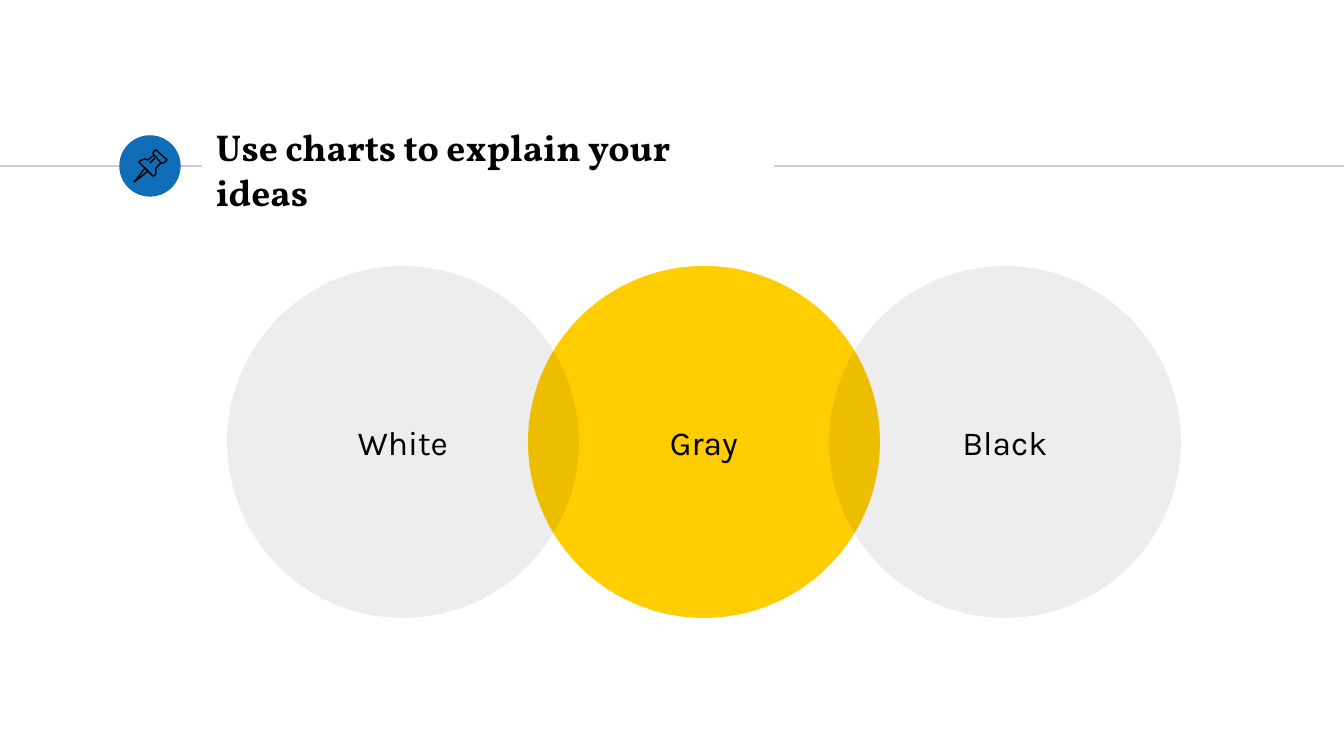
from lxml.etree import SubElement
from pptx import Presentation
from pptx.dml.color import RGBColor
from pptx.enum.shapes import MSO_CONNECTOR, MSO_SHAPE
from pptx.enum.text import MSO_ANCHOR as ANCHOR, PP_ALIGN as ALIGN
from pptx.oxml.ns import qn
from pptx.util import Pt

SCALE = 914400 / 134.4
WHITE = RGBColor(0xFF, 0xFF, 0xFF)
BLACK = RGBColor(0x00, 0x00, 0x00)
RULE = RGBColor(0xCC, 0xCC, 0xCC)
BLUE = RGBColor(0x0F, 0x6C, 0xB6)
YELLOW = RGBColor(0xFF, 0xCD, 0x00)

DIAMETER, STEP, VENN_LEFT, VENN_TOP = 352, 301, 227, 266
RULE_Y = 166

PIN_NEEDLE = [(145, 168), (136, 180), (134, 182), (137, 180), (148, 171)]
PIN_HEAD = [(154, 155), (161, 163), (163, 163), (165, 162), (167, 160),
            (166, 159), (157, 151), (156, 150), (154, 151), (153, 153)]
PIN_BODY = [(154, 155), (148, 160), (145, 159), (142, 160), (140, 161),
            (139, 162), (140, 163), (153, 176), (154, 176), (155, 175),
            (156, 173), (156, 168), (161, 163)]


def px(n):
    return round(n * SCALE)


class Deck:
    heading_font = "Vollkorn"
    body_font = "Karla"
    line_width = Pt(0.75)

    def __init__(self, width, height):
        self.prs = Presentation()
        self.prs.slide_width, self.prs.slide_height = px(width), px(height)
        self.s = self.prs.slides.add_slide(self.prs.slide_layouts[6])
        fill = self.s.background.fill
        fill.solid()
        fill.fore_color.rgb = WHITE

    def line(self, x1, y1, x2, y2, color):
        sp = self.s.shapes.add_connector(
            MSO_CONNECTOR.STRAIGHT, px(x1), px(y1), px(x2), px(y2))
        self.stroke(sp, color)
        SubElement(sp._element.spPr, qn("a:effectLst"))

    def stroke(self, sp, color):
        sp.line.color.rgb = color
        sp.line.width = self.line_width

    def circle(self, x, y, size, color, opacity=100, outline=None):
        sp = self.s.shapes.add_shape(
            MSO_SHAPE.OVAL, px(x), px(y), px(size), px(size))
        sp.shadow.inherit = False
        sp.fill.solid()
        sp.fill.fore_color.rgb = color
        if opacity < 100:
            clr = sp._element.spPr.find(".//" + qn("a:srgbClr"))
            SubElement(clr, qn("a:alpha"), val=str(opacity * 1000))
        if outline is None:
            sp.line.fill.background()
        else:
            self.stroke(sp, outline)
        return sp

    def outline(self, points, close):
        fb = self.s.shapes.build_freeform(*points[0], scale=SCALE)
        fb.add_line_segments(points[1:], close=close)
        sp = fb.convert_to_shape()
        sp.shadow.inherit = False
        sp.fill.background()
        self.stroke(sp, BLACK)

    def label(self, sp, text, font, size, align, bold=False):
        tf = sp.text_frame
        tf.text = text
        tf.word_wrap = True
        tf.vertical_anchor = ANCHOR.MIDDLE
        tf.margin_left = tf.margin_right = px(13)
        tf.margin_top = tf.margin_bottom = px(13)
        p = tf.paragraphs[0]
        p.alignment = align
        r = p.runs[0]
        r.font.name, r.font.size, r.font.bold = font, Pt(size), bold
        r.font.color.rgb = BLACK

    def title(self, x, y, w, h, text):
        sp = self.s.shapes.add_textbox(px(x), px(y), px(w), px(h))
        self.label(sp, text, self.heading_font, 20, ALIGN.LEFT, bold=True)

    def venn_circle(self, index, text, color, opacity=100):
        sp = self.circle(VENN_LEFT + index * STEP, VENN_TOP, DIAMETER, color, opacity)
        self.label(sp, text, self.body_font, 18, ALIGN.CENTER)

    def pin(self):
        self.outline(PIN_NEEDLE, close=True)
        self.outline(PIN_HEAD, close=True)
        self.outline(PIN_BODY, close=False)
        self.line(150, 163, 155, 158, BLACK)


def main():
    deck = Deck(1344, 756)
    deck.line(0, RULE_Y, 202, RULE_Y, RULE)
    deck.circle(120, 136, 60, BLUE, outline=BLUE)
    deck.line(774, RULE_Y, 1344, RULE_Y, RULE)
    deck.title(203, 137, 570, 65, "Use charts to explain your ideas")
    deck.venn_circle(1, "Gray", YELLOW)
    deck.venn_circle(0, "White", BLACK, opacity=7)
    deck.venn_circle(2, "Black", BLACK, opacity=7)
    deck.pin()
    deck.prs.save("out.pptx")


if __name__ == "__main__":
    main()
